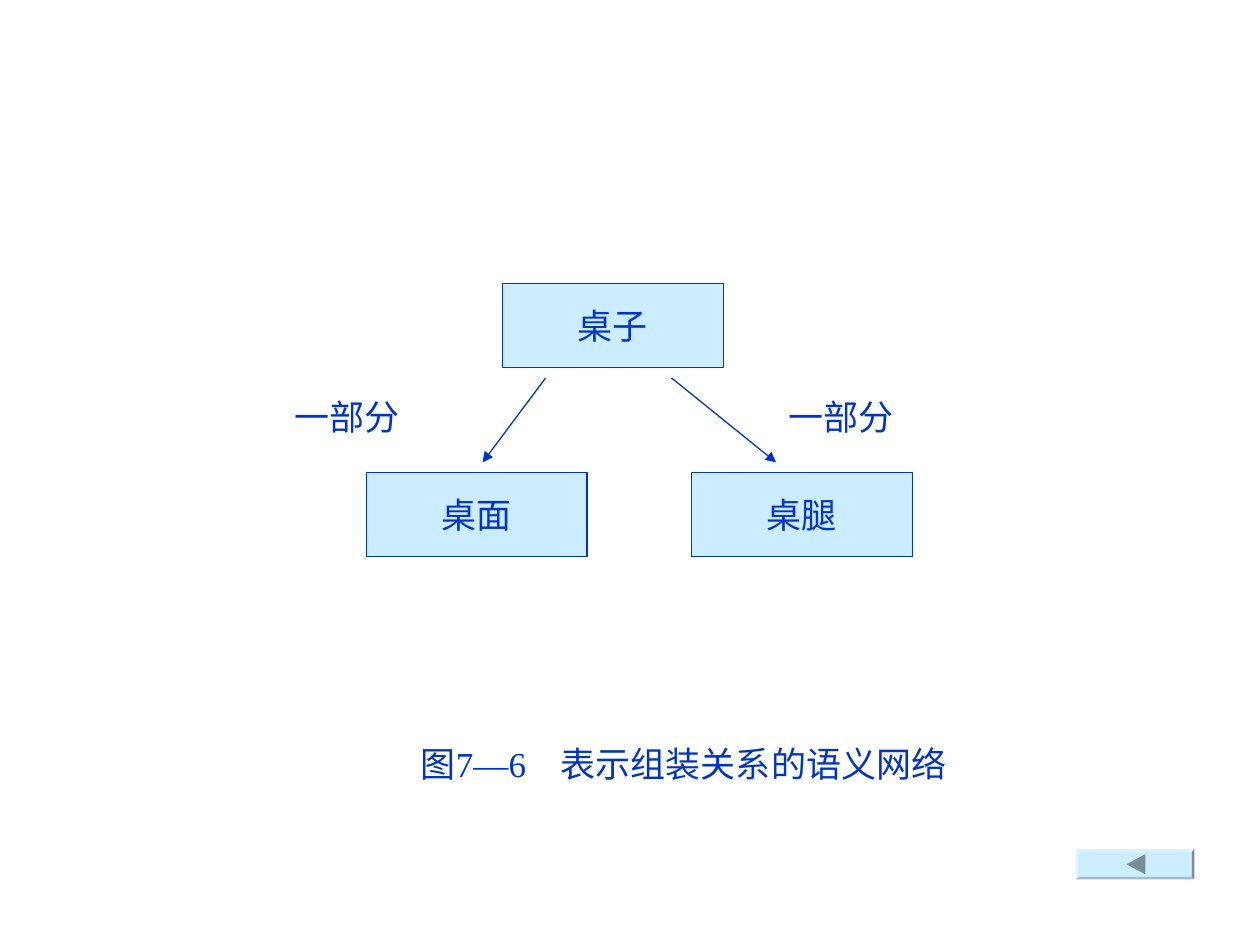
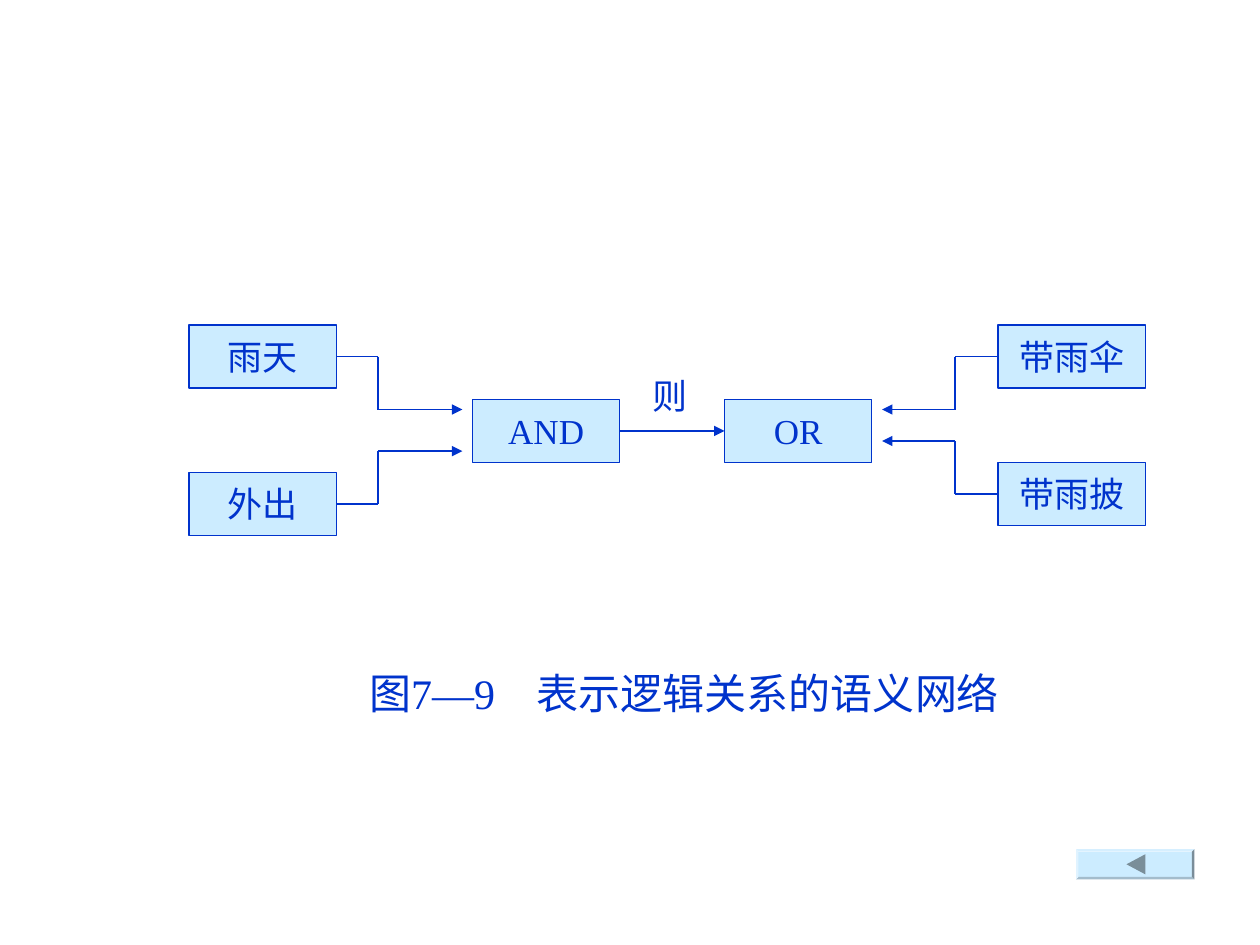
from dataclasses import dataclass

from lxml import etree
from pptx import Presentation
from pptx.dml.color import RGBColor
from pptx.enum.shapes import MSO_CONNECTOR, MSO_SHAPE
from pptx.enum.text import MSO_ANCHOR, MSO_AUTO_SIZE, PP_ALIGN
from pptx.oxml.ns import qn
from pptx.util import Inches, Pt


@dataclass(frozen=True)
class Theme:
    ink: RGBColor = RGBColor(0x00, 0x33, 0xCC)
    node: RGBColor = RGBColor(0xCC, 0xEC, 0xFF)
    arrow_icon: RGBColor = RGBColor(0x7A, 0x8E, 0x99)
    font: str = "Times New Roman"
    text_size: int = 20
    line_width: float = 0.75


THEME = Theme()

# Content: nodes are label -> (left, top), other places are in inches
ASSEMBLY = {
    "caption": ("图7―6", "表示组装关系的语义网络", 20, (3.24, 5.84, 5, 0.44)),
    "node_size": (1.75, 0.67),
    "nodes": {"桌子": (3.99, 2.25), "桌面": (2.91, 3.75), "桌腿": (5.49, 3.75)},
    "relations": [("一部分", (2.24, 3.09, 1.08, 0.44)),
                  ("一部分", (6.16, 3.09, 1.08, 0.44))],
    "arrows": [[(4.33, 3), (3.83, 3.67)], [(5.33, 3), (6.16, 3.67)]],
}
LOGIC = {
    "caption": ("图7―9", "表示逻辑关系的语义网络", 24, (2.83, 5.25, 5.25, 0.5)),
    "node_size": (1.17, 0.5),
    "nodes": {"雨天": (1.5, 2.58), "外出": (1.5, 3.75),
              "AND": (3.75, 3.17), "OR": (5.75, 3.17),
              "带雨伞": (7.92, 2.58), "带雨披": (7.92, 3.67)},
    "relations": [("则", (5.08, 2.92, 0.58, 0.44))],
    "arrows": [[(4.92, 3.42), (5.75, 3.42)]],
    # Node, x of the bend, tip of the arrow
    "branches": [("雨天", 3, (3.67, 3.25)), ("外出", 3, (3.67, 3.58)),
                 ("带雨伞", 7.58, (7, 3.25)), ("带雨披", 7.58, (7, 3.5))],
}
BACK_BUTTON = (8.54, 6.74, 0.94, 0.24)
BACK_ICON = [(8.94, 6.86), (9.09, 6.78), (9.09, 6.94)]
BUTTON_EDGE = 0.02
CAPTION_TAB = 1.11  # at the standard text size


def inches(values):
    return [Inches(value) for value in values]


def write(paragraph, words, size=THEME.text_size):
    run = paragraph.add_run()
    run.text = words
    run.font.name = THEME.font
    run.font.size = Pt(size)
    run.font.color.rgb = THEME.ink


def add_caption(slide, number, wording, size, place):
    caption = slide.shapes.title
    caption.left, caption.top, caption.width, caption.height = inches(place)
    frame = caption.text_frame
    frame.word_wrap = True
    frame.auto_size = MSO_AUTO_SIZE.NONE
    frame.vertical_anchor = MSO_ANCHOR.TOP
    paragraph = frame.paragraphs[0]
    paragraph.alignment = PP_ALIGN.LEFT
    # The tab stop grows with the type size
    stops = etree.SubElement(paragraph._p.get_or_add_pPr(), qn("a:tabLst"))
    stop = Inches(CAPTION_TAB * size / THEME.text_size)
    etree.SubElement(stops, qn("a:tab"), pos=str(int(stop)), algn="l")
    for words in (number, "\t", wording):
        write(paragraph, words, size)


def add_node(slide, label, place):
    node = slide.shapes.add_shape(MSO_SHAPE.RECTANGLE, *inches(place))
    node.shadow.inherit = False
    node.fill.solid()
    node.fill.fore_color.rgb = THEME.node
    node.line.color.rgb = THEME.ink
    node.line.width = Pt(THEME.line_width)
    node.text_frame.word_wrap = False
    node.text_frame.vertical_anchor = MSO_ANCHOR.MIDDLE
    paragraph = node.text_frame.paragraphs[0]
    paragraph.alignment = PP_ALIGN.CENTER
    write(paragraph, label)


def add_relation(slide, label, place):
    relation = slide.shapes.add_textbox(*inches(place))
    relation.text_frame.word_wrap = True
    write(relation.text_frame.paragraphs[0], label)


def add_arrow(slide, points):
    """Join the points with straight lines; the last one gets the head."""
    for start, end in zip(points, points[1:]):
        segment = slide.shapes.add_connector(
            MSO_CONNECTOR.STRAIGHT, *inches(start + end))
        segment.line.color.rgb = THEME.ink
        segment.line.width = Pt(THEME.line_width)
        etree.SubElement(segment._element.spPr, qn("a:effectLst"))
    etree.SubElement(segment.line._get_or_add_ln(), qn("a:tailEnd"),
                     type="triangle")


def branch_points(network, label, bend, tip):
    left, top = network["nodes"][label]
    width, height = network["node_size"]
    middle = top + height / 2
    side = left + width if bend > left else left
    return [(side, middle), (bend, middle), (bend, tip[1]), tip]


def add_back_button(slide):
    button = slide.shapes.add_shape(MSO_SHAPE.BEVEL, *inches(BACK_BUTTON))
    button.adjustments[0] = BUTTON_EDGE / BACK_BUTTON[3]
    corners = [tuple(inches(corner)) for corner in BACK_ICON]
    outline = slide.shapes.build_freeform(*corners[0])
    outline.add_line_segments(corners[1:], close=True)
    icon = outline.convert_to_shape()
    for part, colour in ((button, THEME.node), (icon, THEME.arrow_icon)):
        part.shadow.inherit = False
        part.fill.solid()
        part.fill.fore_color.rgb = colour
        part.line.fill.background()


def add_network(deck, network):
    slide = deck.slides.add_slide(deck.slide_layouts.get_by_name("Title Only"))
    add_caption(slide, *network["caption"])
    for label, corner in network["nodes"].items():
        add_node(slide, label, corner + network["node_size"])
    for points in network["arrows"]:
        add_arrow(slide, points)
    for branch in network.get("branches", []):
        add_arrow(slide, branch_points(network, *branch))
    for label, place in network["relations"]:
        add_relation(slide, label, place)
    add_back_button(slide)


def main():
    deck = Presentation()
    deck.slide_width, deck.slide_height = Inches(10), Inches(7.5)
    for network in (ASSEMBLY, LOGIC):
        add_network(deck, network)
    deck.save("out.pptx")


if __name__ == "__main__":
    main()
